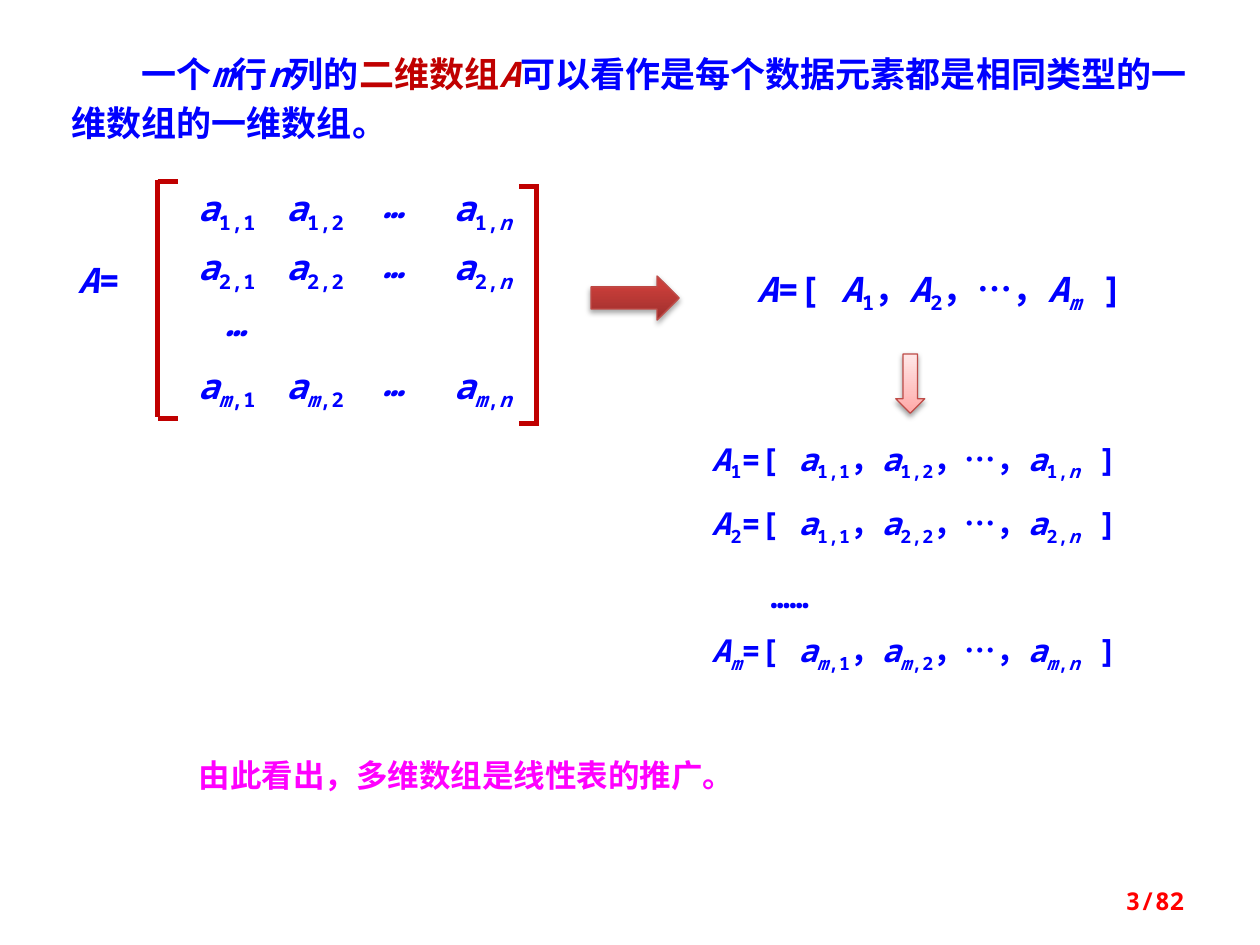
"""Build the slide that reads a matrix as a list of lists."""
from dataclasses import dataclass, field

from pptx import Presentation
from pptx.dml.color import RGBColor
from pptx.enum.shapes import MSO_CONNECTOR, MSO_SHAPE
from pptx.enum.text import MSO_ANCHOR, MSO_AUTO_SIZE, PP_ALIGN
from pptx.oxml import parse_xml
from pptx.oxml.ns import nsdecls
from pptx.util import Inches, Length, Pt

LEFT, CENTER, RIGHT = PP_ALIGN.LEFT, PP_ALIGN.CENTER, PP_ALIGN.RIGHT
TOP, MIDDLE = MSO_ANCHOR.TOP, MSO_ANCHOR.MIDDLE
EAST, SOUTH = MSO_SHAPE.RIGHT_ARROW, MSO_SHAPE.DOWN_ARROW
STRAIGHT, GROW = MSO_CONNECTOR.STRAIGHT, MSO_AUTO_SIZE.SHAPE_TO_FIT_TEXT

WIDE, TALL = Inches(10), Inches(7.5)
COLS, ROWS = 100, 75
MONO, SANS = "Noto Sans Mono", "Noto Sans CJK JP"
BLUE, RED, PINK, ROSE, PAGE = "0000FF", "C00000", "FF00FF", "BF4C48", "FF0000"
INSETS = ("margin_left", "margin_top", "margin_right", "margin_bottom")


@dataclass
class Box:
    """A place in grid columns and rows."""
    left: float
    top: float
    width: float
    height: float


@dataclass
class Label:
    """Text in which ~ toggles italic, _ subscript and # the red colour."""
    text: str
    box: Box
    size: int = 20
    font: str = MONO
    color: str = BLUE
    frame: dict = field(default_factory=dict)
    para: dict = field(default_factory=dict)
    indent: int = 0


@dataclass
class Arrow:
    """A block arrow with gradient stops and shadow strength."""
    kind: int
    box: Box
    stops: dict
    shade: int


def col(count: float) -> Length:
    """Turn grid columns into a length."""
    return Length(round(WIDE * count / COLS))


def row(count: float) -> Length:
    """Turn grid rows into a length."""
    return Length(round(TALL * count / ROWS))


def place(box: Box) -> tuple:
    """Give the position and size of a box."""
    return col(box.left), row(box.top), col(box.width), row(box.height)


def tint(text: str) -> RGBColor:
    """Turn a hex string into a colour."""
    return RGBColor.from_string(text)


def apply(target: object, values: dict) -> None:
    """Set each format value on the target."""
    for name, value in values.items():
        setattr(target, name, value)


def write(slide, label: Label) -> None:
    """Draw a label, one run for each change of format."""
    frame = slide.shapes.add_textbox(*place(label.box)).text_frame
    apply(frame, {"word_wrap": True, "auto_size": GROW} | label.frame)
    para = frame.paragraphs[0]
    apply(para, label.para)
    if label.indent:
        para._p.get_or_add_pPr().set("indent", str(Pt(label.indent)))
    state = dict.fromkeys("~_#", False)
    text = label.text
    while text:
        if text[0] in state:
            state[text[0]] = not state[text[0]]
            text = text[1:]
            continue
        end = min([text.find(mark) for mark in state if mark in text] + [len(text)])
        run = para.add_run()
        run.text, text = text[:end], text[end:]
        apply(run.font, {"name": label.font, "size": Pt(label.size),
                         "bold": True, "italic": state["~"]})
        run.font.color.rgb = tint(RED if state["#"] else label.color)
        props = run._r.get_or_add_rPr()
        props.append(parse_xml(f'<a:ea {nsdecls("a")} typeface="{SANS}"/>'))
        if state["_"]:
            props.set("baseline", "-25000")


def point(slide, arrow: Arrow) -> None:
    """Draw a block arrow."""
    shape = slide.shapes.add_shape(arrow.kind, *place(arrow.box))
    shape.shadow.inherit = False
    shape.fill.gradient()
    shape.fill.gradient_angle = 90
    props = shape._element.spPr
    stops = props.xpath(".//a:gsLst")[0]
    for stop in list(stops):
        stops.remove(stop)
    for share, color in arrow.stops.items():
        stops.append(parse_xml(
            f'<a:gs {nsdecls("a")} pos="{share * 1000}"><a:srgbClr val="{color}"/></a:gs>'))
    shape.line.color.rgb = tint(ROSE)
    shape.line.width = Pt(0.75)
    props.xpath("./a:effectLst")[0].append(parse_xml(
        f'<a:outerShdw {nsdecls("a")} blurRad="{Pt(3.1)}" dist="{Pt(1.7)}" '
        f'dir="5400000" rotWithShape="0"><a:srgbClr val="000000">'
        f'<a:alpha val="{arrow.shade * 1000}"/></a:srgbClr></a:outerShdw>'))


def rule(slide, start: tuple, end: tuple) -> None:
    """Draw one stroke of a bracket."""
    line = slide.shapes.add_connector(
        STRAIGHT, col(start[0]), row(start[1]), col(end[0]), row(end[1]))
    line.line.color.rgb = tint(RED)
    line.line.width = Pt(3)
    line._element.spPr.append(parse_xml(f'<a:effectLst {nsdecls("a")}/>'))


def hook(slide, stem: float, near: float, far: float, top: float, base: float) -> None:
    """Draw a bracket from a stem and two short arms."""
    rule(slide, (stem, top), (stem, base))
    for level in (top + 0.1, base + 0.1):
        rule(slide, (near, level), (far, level))


def sub(name: str, *marks: str) -> str:
    """Write a name with its subscripts, letters in italic."""
    parts = [mark if mark.isdigit() else f"~{mark}~" for mark in marks]
    return f"~{name}~_{','.join(parts)}_"


def series(head: str, *terms: str) -> str:
    """Write a list of two first terms and a last one."""
    return f"{head}=[ {terms[0]}，{terms[1]}，…，{terms[2]} ]"


def matrix(slide) -> None:
    """Draw the matrix with its brackets."""
    style = {"frame": dict.fromkeys(INSETS, 0), "para": {"alignment": CENTER}}
    write(slide, Label("~A~=", Box(4.7, 20, 6.3, 4.4), para=style["para"]))
    hook(slide, 12.5, 12.5, 14.1, 14.3, 33.1)
    hook(slide, 42.6, 41.2, 42.8, 14.7, 33.5)
    for step, mark in ((0, "1"), (1, "2"), (3, "m")):
        top = 14.8 + 4.7 * step
        for left, index in ((14.1, "1"), (21.1, "2"), (34.4, "n")):
            write(slide, Label(sub("a", mark, index), Box(left, top, 7.8, 3.4), **style))
        write(slide, Label("~…~", Box(28.1, top - 0.2, 6.3, 3.4), **style))
    write(slide, Label("~…~", Box(15.6, 23.9, 6.3, 3.4), **style))


def lists(slide) -> None:
    """Draw the list of lists and its parts."""
    names = [sub("A", mark) for mark in "12m"]
    write(slide, Label(series("~A~", *names), Box(54.7, 20.7, 39.8, 4.4),
                       para={"alignment": CENTER}))
    for top, mark, first in ((34.4, "1", "1"), (39.5, "2", "1"), (49.6, "m", "m")):
        terms = sub("a", first, "1"), sub("a", mark, "2"), sub("a", mark, "n")
        write(slide, Label(series(sub("A", mark), *terms), Box(55.5, top, 39.8, 4), 18))
    write(slide, Label("……", Box(60.2, 45.3, 10.9, 4), 18))


def main() -> None:
    """Build and save the slide."""
    deck = Presentation()
    deck.slide_width, deck.slide_height = WIDE, TALL
    slide = deck.slides.add_slide(deck.slide_layouts[6])
    write(slide, Label(
        "一个~m~行~n~列的#二维数组~A~#可以看作是每个数据元素都是相同类型的一维数组的一维数组。",
        Box(4.7, 3.1, 90.6, 8.9), para={"line_spacing": Pt(28)}, indent=40))
    write(slide, Label("由此看出，多维数组是线性表的推广。", Box(14.8, 58.6, 46.1, 4.9),
                       18, SANS, PINK, para={"line_spacing": 1.3}))
    matrix(slide)
    lists(slide)
    point(slide, Arrow(EAST, Box(46.9, 21.9, 7, 3.5),
                       {0: "9C2F2D", 80: "CB3E3A", 100: "CE3B37"}, 35))
    point(slide, Arrow(SOUTH, Box(71.1, 28.1, 2.3, 4.7),
                       {0: "FFA6A5", 35: "FFC0BF", 100: "FFE7E7"}, 38))
    write(slide, Label("3/82", Box(71.7, 69.5, 23.3, 4), 14, color=PAGE,
                       frame={"vertical_anchor": MIDDLE}, para={"alignment": RIGHT}))
    deck.save("out.pptx")


if __name__ == "__main__":
    main()
